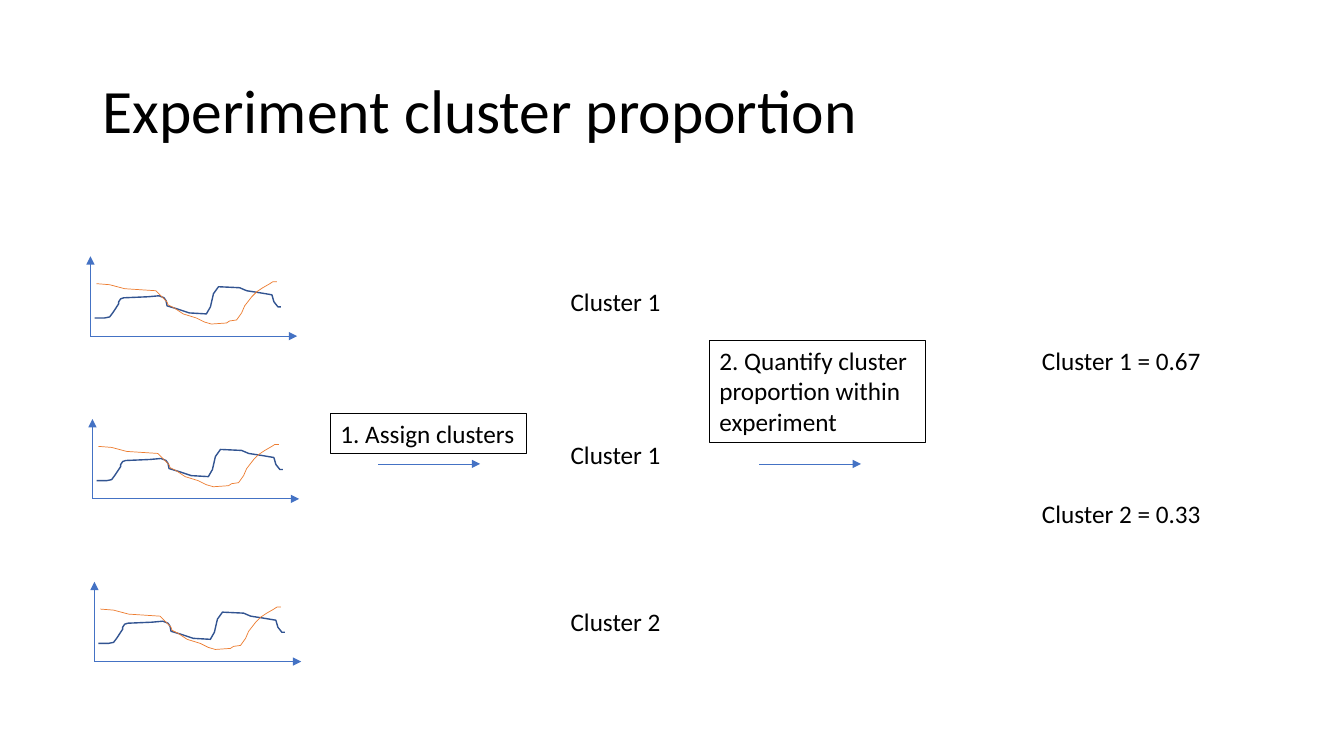
"""Build the slide that shows how cluster proportions of an experiment are found."""
import lxml.etree
import pptx
import pptx.dml.color
import pptx.enum.shapes
import pptx.enum.text
import pptx.oxml.ns
import pptx.util

Cm = pptx.util.Cm
Pt = pptx.util.Pt
RGBColor = pptx.dml.color.RGBColor
MSO_ANCHOR = pptx.enum.text.MSO_ANCHOR
MSO_CONNECTOR = pptx.enum.shapes.MSO_CONNECTOR
qn = pptx.oxml.ns.qn

BLACK = RGBColor(0x00, 0x00, 0x00)
BLUE = RGBColor(0x44, 0x72, 0xC4)
DARK_BLUE = RGBColor(0x32, 0x54, 0x91)
ORANGE = RGBColor(0xED, 0x7D, 0x31)
FONT = "Calibri"
TITLE_SIZE, BODY_SIZE = 44, 18
THIN, FRAME, BOLD = 0.5, 0.75, 1

TITLE = "Experiment cluster proportion"
TITLE_BOX = (2.34, 1.02, 29.21, 3.68)

STEPS = [
    {"text": "1. Assign clusters", "box": (8.33, 10.41, 4.93, 1.03),
     "wrap": False, "arrow_x": 9.53},
    {"text": "2. Quantify cluster proportion within experiment",
     "box": (17.88, 8.58, 5.44, 2.57), "wrap": True, "arrow_x": 19.13},
]
ARROW_Y, ARROW_W = 11.69, 2.57

LABEL_COLUMNS = [
    {"x": 14.13, "w": 2.79,
     "rows": [("Cluster 1", 7.09), ("Cluster 1", 10.95), ("Cluster 2", 15.15)]},
    {"x": 26.01, "w": 4.55,
     "rows": [("Cluster 1 = 0.67", 8.58), ("Cluster 2 = 0.33", 12.42)]},
]
LABEL_H = 1.03

PLOT_COUNT = 3
PLOT_X, PLOT_Y = 2.28, 8.47
PLOT_STEP_X, PLOT_STEP_Y = 0.05, 4.1
AXIS_W, AXIS_H = 5.21, 2.01

CURVE_UNIT = Cm(0.0254)
STEPPED_CURVE = [
    (4, 18), (14, 18), (19, 19), (22, 23), (28, 32), (28, 34), (30, 37), (33, 38),
    (57, 39), (68, 40), (73, 38), (75, 35), (76, 30), (86, 27), (98, 23), (115, 22),
    (119, 29), (122, 42), (127, 49), (148, 48), (155, 45), (168, 43), (180, 41),
    (182, 34), (186, 29), (189, 29),
]
DIPPING_CURVE = [
    (6, 52), (19, 51), (34, 47), (65, 45), (70, 40), (76, 34), (77, 31), (83, 28),
    (92, 22), (105, 18), (113, 14), (120, 12), (135, 13), (138, 15), (145, 16),
    (150, 23), (153, 30), (160, 39), (165, 44), (171, 48), (178, 52), (181, 54),
    (185, 54),
]
CURVES = [(STEPPED_CURVE, DARK_BLUE, BOLD), (DIPPING_CURVE, ORANGE, THIN)]


def style_line(sp, color, width):
    sp.line.color.rgb = color
    sp.line.width = Pt(width)


def add_text(slide, text, box, size=BODY_SIZE, wrap=False, anchor=MSO_ANCHOR.TOP):
    sp = slide.shapes.add_textbox(*map(Cm, box))
    tf = sp.text_frame
    tf.word_wrap = wrap
    tf.vertical_anchor = anchor
    p = tf.paragraphs[0]
    p.text = text
    p.font.name = FONT
    p.font.size = Pt(size)
    p.font.color.rgb = BLACK
    return sp


def add_title(slide):
    sp = add_text(slide, TITLE, TITLE_BOX, TITLE_SIZE, True, MSO_ANCHOR.MIDDLE)
    sp.text_frame.paragraphs[0].line_spacing = 0.9


def add_arrow(slide, x, y, dx=0, dy=0):
    ends = map(Cm, (x, y, x + dx, y + dy))
    sp = slide.shapes.add_connector(MSO_CONNECTOR.STRAIGHT, *ends)
    style_line(sp, BLUE, THIN)
    properties = sp._element.spPr
    outline = properties.find(qn("a:ln"))
    lxml.etree.SubElement(outline, qn("a:tailEnd"), type="triangle")
    lxml.etree.SubElement(properties, qn("a:effectLst"))


def add_curve(slide, x, y, heights, color, width):
    points = [(across, -up) for across, up in heights]
    builder = slide.shapes.build_freeform(*points[0], scale=CURVE_UNIT)
    builder.add_line_segments(points[1:], close=False)
    sp = builder.convert_to_shape(Cm(x), Cm(y))
    sp.shadow.inherit = False
    sp.fill.background()
    style_line(sp, color, width)


def add_plot(slide, x, y):
    add_arrow(slide, x, y, dy=-AXIS_H)
    add_arrow(slide, x, y, dx=AXIS_W)
    for heights, color, width in CURVES:
        add_curve(slide, x, y, heights, color, width)


def add_step(slide, step):
    add_arrow(slide, step["arrow_x"], ARROW_Y, dx=ARROW_W)
    sp = add_text(slide, step["text"], step["box"], wrap=step["wrap"])
    style_line(sp, BLACK, FRAME)


def add_label_column(slide, column):
    for text, y in column["rows"]:
        add_text(slide, text, (column["x"], y, column["w"], LABEL_H))


def main():
    prs = pptx.Presentation()
    prs.slide_width, prs.slide_height = Cm(33.87), Cm(19.05)
    slide = prs.slides.add_slide(prs.slide_layouts[6])

    add_title(slide)
    for i in range(PLOT_COUNT):
        add_plot(slide, PLOT_X + i * PLOT_STEP_X, PLOT_Y + i * PLOT_STEP_Y)
    for step in STEPS:
        add_step(slide, step)
    for column in LABEL_COLUMNS:
        add_label_column(slide, column)

    prs.save("out.pptx")


if __name__ == "__main__":
    main()
